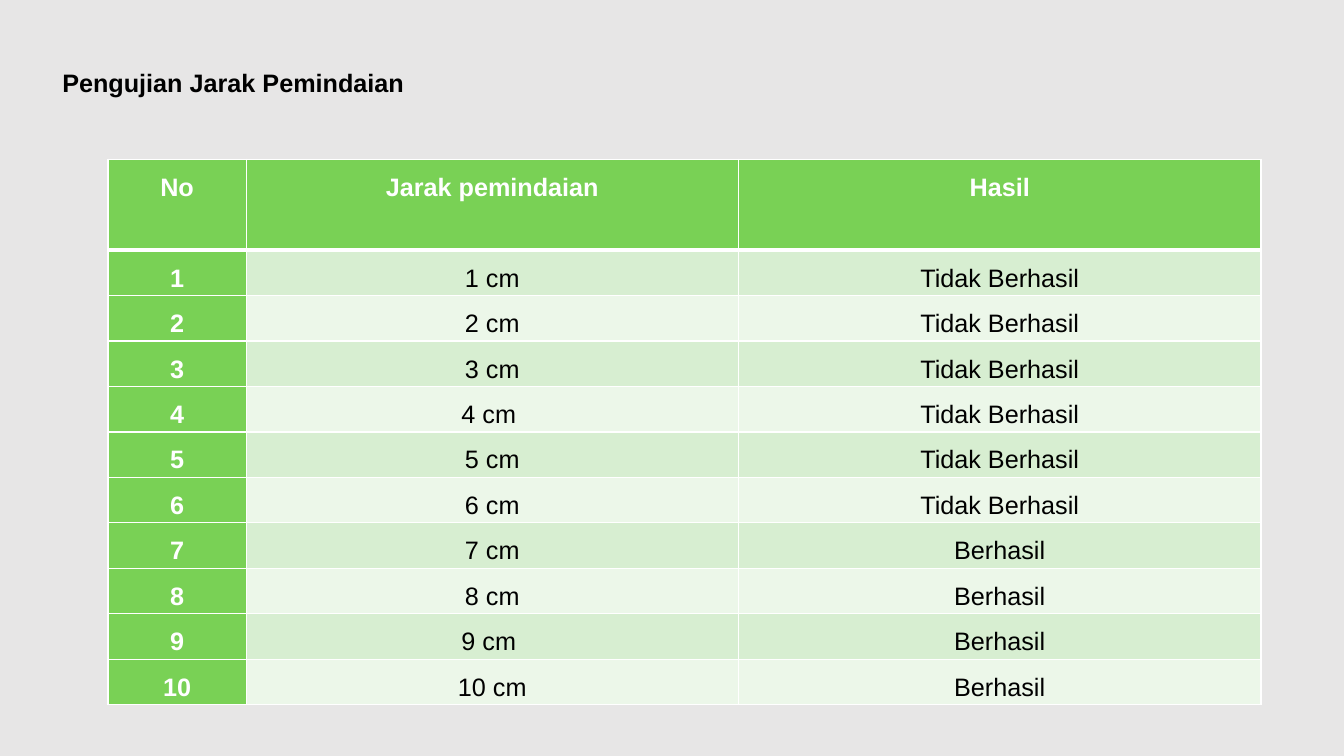
"""Build the slide that reports the scanning distance test."""
import dataclasses
import typing

import pptx
import pptx.dml.color
import pptx.enum.text
import pptx.oxml
import pptx.oxml.ns
import pptx.slide
import pptx.table
import pptx.text.text
import pptx.util


@dataclasses.dataclass(frozen=True)
class Theme:
    backdrop: str = "E7E6E6"
    ink: str = "000000"
    white: str = "FFFFFF"
    green: str = "79D155"
    bands: tuple[str, str] = ("D7EED1", "ECF7E9")
    font: str = "Arial"
    size: float = 18
    thin: float = 1
    thick: float = 3


class Area(typing.NamedTuple):
    left: float
    top: float
    width: float
    height: float


class Trial(typing.NamedTuple):
    number: str
    distance: str
    outcome: str


THEME = Theme()
SLIDE_WIDTH = pptx.util.Inches(13.33)
SLIDE_HEIGHT = pptx.util.Inches(7.5)
HEADING_AREA = Area(3.9, 8.27, 27.16, 4.93)
RESULTS_AREA = Area(8.03, 21.07, 85.8, 72.13)
COLUMN_WEIGHTS = (137, 488, 518)
HEADER_ROWS = 2
HEADER = Trial("No", "Jarak pemindaian", "Hasil")
TRIALS = (
    Trial("1", "1 cm", "Tidak Berhasil"),
    Trial("2", "2 cm", "Tidak Berhasil"),
    Trial("3", "3 cm", "Tidak Berhasil"),
    Trial("4", "4 cm ", "Tidak Berhasil"),
    Trial("5", "5 cm", "Tidak Berhasil"),
    Trial("6", "6 cm", "Tidak Berhasil"),
    Trial("7", "7 cm", "Berhasil"),
    Trial("8", "8 cm", "Berhasil"),
    Trial("9", "9 cm ", "Berhasil"),
    Trial("10", "10 cm", "Berhasil"),
)


def rgb(colour: str) -> pptx.dml.color.RGBColor:
    return pptx.dml.color.RGBColor.from_string(colour)


def place(area: Area) -> tuple[int, int, int, int]:
    return (
        int(SLIDE_WIDTH * area.left / 100),
        int(SLIDE_HEIGHT * area.top / 100),
        int(SLIDE_WIDTH * area.width / 100),
        int(SLIDE_HEIGHT * area.height / 100),
    )


def set_font(paragraph: pptx.text.text._Paragraph, colour: str, bold: bool) -> None:
    paragraph.font.name = THEME.font
    paragraph.font.size = pptx.util.Pt(THEME.size)
    paragraph.font.bold = bold
    paragraph.font.color.rgb = rgb(colour)


def draw_heading(slide: pptx.slide.Slide, wording: str) -> None:
    frame = slide.shapes.add_textbox(*place(HEADING_AREA)).text_frame
    frame.word_wrap = False
    frame.auto_size = pptx.enum.text.MSO_AUTO_SIZE.SHAPE_TO_FIT_TEXT
    frame.text = wording
    set_font(frame.paragraphs[0], THEME.ink, True)


def set_borders(cell: pptx.table._Cell, top: float, bottom: float) -> None:
    properties = cell._tc.get_or_add_tcPr()
    widths = {"lnL": THEME.thin, "lnR": THEME.thin, "lnT": top, "lnB": bottom}
    for side, points in widths.items():
        properties.append(pptx.oxml.parse_xml(
            f'<a:{side} {pptx.oxml.ns.nsdecls("a")} w="{pptx.util.Pt(points)}">'
            f'<a:solidFill><a:srgbClr val="{THEME.white}"/></a:solidFill></a:{side}>'
        ))


def fill_cell(cell: pptx.table._Cell, wording: str, row: int, column: int) -> None:
    leading = row == 0 or column == 0
    set_borders(
        cell,
        THEME.thick if row == 1 else THEME.thin,
        THEME.thick if row == 0 else THEME.thin,
    )
    cell.fill.solid()
    cell.fill.fore_color.rgb = rgb(THEME.green if leading else THEME.bands[(row - 1) % 2])
    cell.margin_left = cell.margin_right = pptx.util.Inches(0.04)
    cell.margin_top = cell.margin_bottom = 0
    cell.text = wording
    paragraph = cell.text_frame.paragraphs[0]
    paragraph.alignment = pptx.enum.text.PP_ALIGN.CENTER
    paragraph.line_spacing = 1.5
    set_font(paragraph, THEME.white if leading else THEME.ink, leading)


def draw_results(slide: pptx.slide.Slide) -> None:
    records = (HEADER, *TRIALS)
    left, top, width, height = place(RESULTS_AREA)
    results = slide.shapes.add_table(
        len(records), len(COLUMN_WEIGHTS), left, top, width, height
    ).table
    for column, weight in zip(results.columns, COLUMN_WEIGHTS):
        column.width = int(width * weight / sum(COLUMN_WEIGHTS))
    row_height = height / (HEADER_ROWS + len(TRIALS))
    for row, record in enumerate(records):
        results.rows[row].height = int(row_height * (HEADER_ROWS if row == 0 else 1))
        for column, wording in enumerate(record):
            fill_cell(results.cell(row, column), wording, row, column)


def main() -> None:
    presentation = pptx.Presentation()
    presentation.slide_width = SLIDE_WIDTH
    presentation.slide_height = SLIDE_HEIGHT
    slide = presentation.slides.add_slide(presentation.slide_layouts[6])
    slide.background.fill.solid()
    slide.background.fill.fore_color.rgb = rgb(THEME.backdrop)
    draw_heading(slide, "Pengujian Jarak Pemindaian")
    draw_results(slide)
    presentation.save("out.pptx")


if __name__ == "__main__":
    main()
